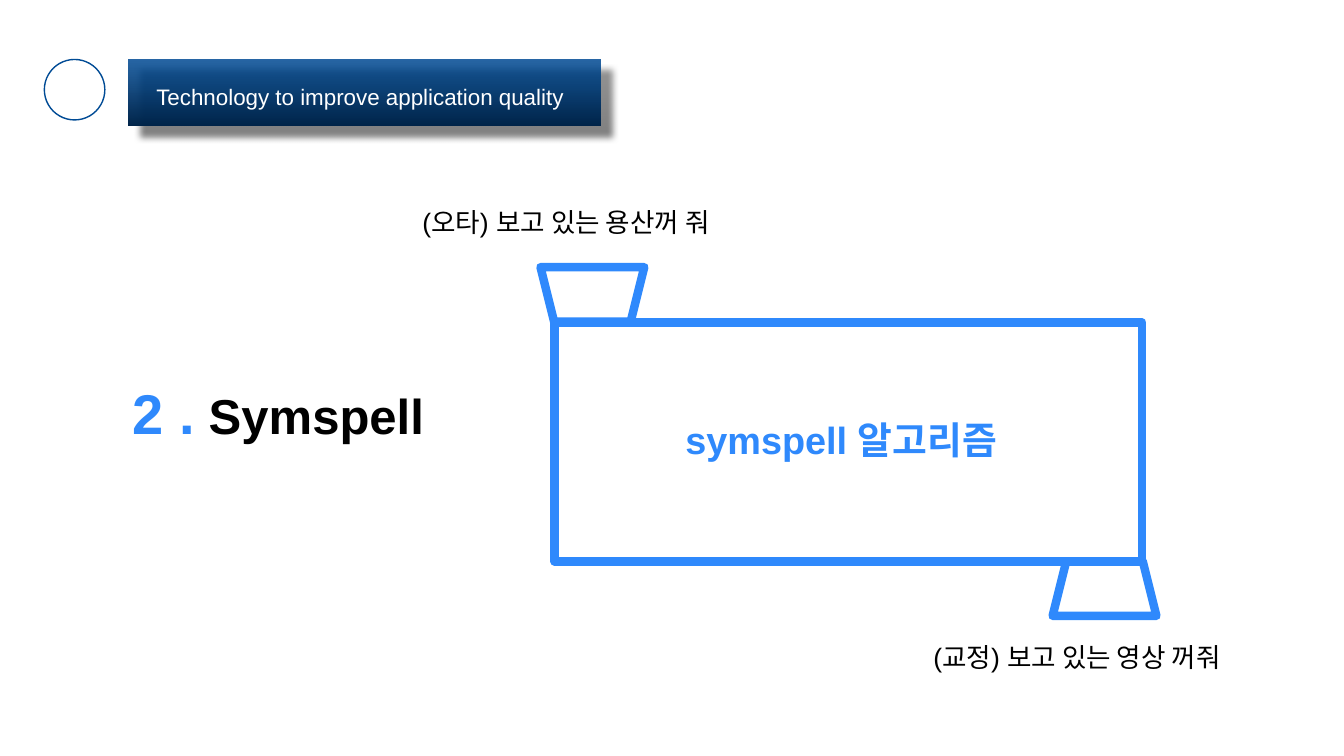
import math
from dataclasses import dataclass

from lxml import etree
from pptx import Presentation
from pptx.dml.color import RGBColor
from pptx.enum.shapes import MSO_SHAPE
from pptx.enum.text import MSO_ANCHOR, MSO_AUTO_SIZE, PP_ALIGN
from pptx.oxml.ns import qn
from pptx.util import Inches, Pt

RECT, OVAL, TRAPEZOID = MSO_SHAPE.RECTANGLE, MSO_SHAPE.OVAL, MSO_SHAPE.TRAPEZOID
TOP, MIDDLE = MSO_ANCHOR.TOP, MSO_ANCHOR.MIDDLE
GROW, LEFT = MSO_AUTO_SIZE.SHAPE_TO_FIT_TEXT, PP_ALIGN.LEFT


@dataclass(frozen=True)
class Theme:
    font: str = "Arial"
    blue: str = "2F89FC"
    banner_top: str = "004B95"
    banner_bottom: str = "00254A"
    black: str = "000000"
    white: str = "FFFFFF"
    title: float = 16
    caption: float = 19
    label: float = 27
    heading: float = 35
    number: float = 40


@dataclass(frozen=True)
class Outline:
    kind: int
    box: tuple
    color: str
    weight: float
    rotation: float = 0


@dataclass(frozen=True)
class Run:
    text: str
    size: float
    color: str
    bold: bool = False


@dataclass(frozen=True)
class Label:
    box: tuple
    runs: tuple


T = Theme()

OUTLINES = [
    Outline(OVAL, (0.44, 0.59, 0.6, 0.6), T.banner_top, 1),
    Outline(RECT, (5.5, 3.2, 5.83, 2.37), T.blue, 6),
    Outline(TRAPEZOID, (10.44, 5.57, 1.03, 0.54), T.blue, 6),
    Outline(TRAPEZOID, (5.36, 2.65, 1.03, 0.54), T.blue, 6, 180),
]

LABELS = [
    Label((1.22, 3.66, 4, 0.88), (Run("2 .", T.number, T.blue, True),
                                  Run(" ", T.heading, T.blue, True),
                                  Run("Symspell", T.heading, T.black, True))),
    Label((6.7, 4.03, 3.53, 0.66), (Run("symspell 알고리즘", T.label, T.blue, True),)),
    Label((4.09, 1.94, 3.46, 0.52), (Run("(오타) 보고 있는 용산꺼 줘", T.caption, T.black),)),
    Label((9.16, 6.26, 3.46, 0.52), (Run("(교정) 보고 있는 영상 꺼줘", T.caption, T.black),)),
]


def rgb(color: str) -> RGBColor:
    return RGBColor.from_string(color)


def place(sp, box: tuple) -> None:
    sp.left, sp.top, sp.width, sp.height = (Inches(v) for v in box)


def write(sp, runs: tuple, *, inset: float = 0.1, anchor=TOP, spacing: float = 1) -> None:
    tf = sp.text_frame
    tf.word_wrap, tf.auto_size, tf.vertical_anchor = True, GROW, anchor
    tf.margin_left = tf.margin_right = tf.margin_top = tf.margin_bottom = Inches(inset)
    p = tf.paragraphs[0]
    p.alignment, p.line_spacing = LEFT, spacing
    for run in runs:
        r = p.add_run()
        r.text = run.text
        r.font.name, r.font.size, r.font.bold = T.font, Pt(run.size), run.bold
        r.font.color.rgb = rgb(run.color)


def add_outline(s, item: Outline):
    sp = s.shapes.add_shape(item.kind, *(Inches(v) for v in item.box))
    sp.shadow.inherit = False
    sp.fill.background()
    sp.line.color.rgb = rgb(item.color)
    sp.line.width = Pt(item.weight)
    etree.SubElement(sp.line._get_or_add_ln(), qn("a:round"))
    sp.rotation = item.rotation
    return sp


def add_alpha(color_element, percent: int) -> None:
    etree.SubElement(color_element, qn("a:alpha"), val=str(percent * 1000))


def add_banner(s) -> None:
    sp = s.shapes.add_shape(RECT, Inches(1.27), Inches(0.59), Inches(4.69), Inches(0.66))
    sp.line.fill.background()
    sp.fill.gradient()
    sp.fill.gradient_angle = 270
    for stop, color, position in zip(sp.fill.gradient_stops,
                                     (T.banner_top, T.banner_bottom), (0, 1)):
        stop.color.rgb, stop.position = rgb(color), position
    sp_pr = sp._element.spPr
    add_alpha(sp_pr.find(".//" + qn("a:srgbClr")), 85)
    sp.shadow.inherit = False
    shadow = etree.SubElement(sp_pr.find(qn("a:effectLst")), qn("a:outerShdw"),
                              blurRad=str(Pt(4.5)), dist=str(Pt(11.2)),
                              dir=str(44 * 60000), algn="tl", rotWithShape="0")
    add_alpha(etree.SubElement(shadow, qn("a:srgbClr"), val=T.black), 50)


def arc(x: float, y: float, radius: float, start: float, sweep: float) -> list:
    steps = 12
    angles = (start + sweep * i / steps for i in range(steps + 1))
    return [(x + radius * math.cos(a), y + radius * math.sin(a)) for a in angles]


def chevron(x: float, y: float) -> list:
    """Rounded outline of a chevron whose arms start at x and meet at height y."""
    run, rise, radius = 0.07, 0.085, 0.03
    slope = math.atan2(rise, run)
    side = math.pi / 2 - slope
    return (arc(x, y - rise, radius, math.pi - side, math.pi)
            + arc(x + run, y, radius, -side, 2 * side)
            + arc(x, y + rise, radius, side, math.pi)
            + [(x + run - radius / math.sin(slope), y)])


def add_double_chevron(s) -> None:
    first, second = chevron(0.645, 0.885), chevron(0.745, 0.885)
    fb = s.shapes.build_freeform(*first[0], scale=Inches(1))
    fb.add_line_segments(first[1:], close=True)
    fb.move_to(*second[0])
    fb.add_line_segments(second[1:], close=True)
    sp = fb.convert_to_shape()
    sp.shadow.inherit = False
    sp.fill.solid()
    sp.fill.fore_color.rgb = rgb(T.black)
    sp.line.fill.background()


def main() -> None:
    prs = Presentation()
    prs.slide_width, prs.slide_height = Inches(13.33), Inches(7.5)
    s = prs.slides.add_slide(prs.slide_layouts[5])

    # Header: the title sits in front of the banner
    add_banner(s)
    title = s.shapes.title
    s.shapes._spTree.append(title._element)
    place(title, (1.55, 0.78, 6.89, 0.27))
    write(title, (Run("Technology to improve application quality", T.title, T.white),),
          inset=0, anchor=MIDDLE, spacing=1.33)
    add_double_chevron(s)

    # Icon ring and the machine with its inlet and outlet
    for item in OUTLINES:
        add_outline(s, item)

    # Heading, machine name and sentences
    for label in LABELS:
        sp = s.shapes.add_textbox(*(Inches(v) for v in label.box))
        write(sp, label.runs)

    prs.save("out.pptx")


if __name__ == "__main__":
    main()
